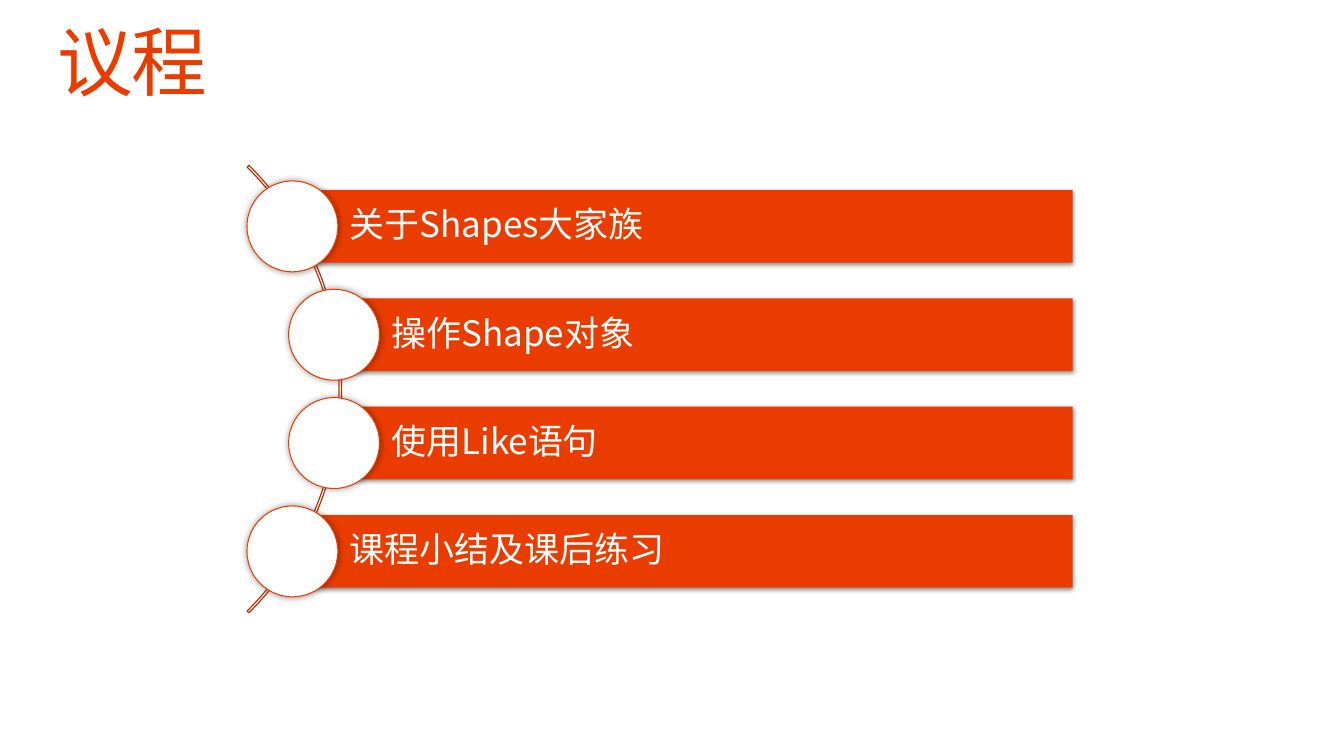
from lxml.etree import SubElement
from pptx import Presentation
from pptx.dml.color import RGBColor
from pptx.enum.shapes import MSO_SHAPE
from pptx.enum.text import MSO_ANCHOR, PP_ALIGN
from pptx.oxml.ns import qn
from pptx.util import Cm, Pt

ORANGE = "EB3C00"
DARK_ORANGE = "BC3000"
WHITE = "FFFFFF"
CJK_FONT = "Noto Sans CJK SC"
BAR_RIGHT = 27.03
BAR_HEIGHT = 1.83
FIRST_TOP = 4.79
ROW_PITCH = 2.73
CIRCLE_SIZE = 2.29
AGENDA = [
    ("关于Shapes大家族", 7.37),
    ("操作Shape对象", 8.42),
    ("使用Like语句", 8.42),
    ("课程小结及课后练习", 7.37),
]


def colour(value):
    return RGBColor.from_string(value)


def add_preset(page, preset, left, top, width, height, fill=None, line=None, weight=0.75):
    shape = page.shapes.add_shape(preset, Cm(left), Cm(top), Cm(width), Cm(height))
    shape.shadow.inherit = False
    if fill:
        shape.fill.solid()
        shape.fill.fore_color.rgb = colour(fill)
    else:
        shape.fill.background()
    if line:
        shape.line.color.rgb = colour(line)
        shape.line.width = Pt(weight)
    else:
        shape.line.fill.background()
    return shape


def add_shadow(shape, opacity, blur, distance, angle):
    effects = shape.element.spPr.find(qn("a:effectLst"))
    shadow = SubElement(
        effects, qn("a:outerShdw"), blurRad=str(Pt(blur)), dist=str(Pt(distance)),
        dir=str(angle * 60000), rotWithShape="0")
    black = SubElement(shadow, qn("a:srgbClr"), val="000000")
    SubElement(black, qn("a:alpha"), val=str(opacity * 1000))


def write(shape, text, size, font, text_colour, anchor, insets):
    frame = shape.text_frame
    frame.word_wrap = True
    frame.vertical_anchor = anchor
    frame.margin_left, frame.margin_top, frame.margin_right, frame.margin_bottom = map(Cm, insets)
    para = frame.paragraphs[0]
    para.alignment = PP_ALIGN.LEFT
    para.line_spacing = 0.9
    span = para.add_run()
    span.text = text
    span.font.size = Pt(size)
    span.font.name = font
    span.font.color.rgb = colour(text_colour)
    SubElement(span.font._element, qn("a:ea"), typeface=CJK_FONT)
    return para, span


def add_title(page, text):
    box = page.shapes.add_textbox(Cm(1.45), Cm(0.64), Cm(30.96), Cm(2.08))
    para, span = write(box, text, 54, "Roboto", ORANGE, MSO_ANCHOR.TOP, (0, 0, 0, 0))
    span.font._element.set("spc", "-100")


def add_arc(page):
    arc = add_preset(page, MSO_SHAPE.BLOCK_ARC, -7.34, 1.83, 15.95, 15.95,
                     line=DARK_ORANGE, weight=0.85)
    for index, value in enumerate((189, 27, 0.004)):
        arc.adjustments[index] = value


def add_agenda_row(page, text, left, top):
    bar = add_preset(page, MSO_SHAPE.RECTANGLE, left, top, BAR_RIGHT - left, BAR_HEIGHT, ORANGE)
    add_shadow(bar, 45, 3.5, 1.1, 90)
    para, span = write(bar, text, 25, CJK_FONT, WHITE, MSO_ANCHOR.MIDDLE, (1.45, 0.18, 0.18, 0.18))
    para.space_after = Pt(8.75)
    circle = add_preset(
        page, MSO_SHAPE.OVAL, left - CIRCLE_SIZE / 2, top + (BAR_HEIGHT - CIRCLE_SIZE) / 2,
        CIRCLE_SIZE, CIRCLE_SIZE, WHITE, ORANGE)
    add_shadow(circle, 40, 5, 0, 0)


def main():
    deck = Presentation()
    deck.slide_width = Cm(33.87)
    deck.slide_height = Cm(19.05)
    page = deck.slides.add_slide(deck.slide_layouts[6])
    add_title(page, "议程")
    add_arc(page)
    for row, (text, left) in enumerate(AGENDA):
        add_agenda_row(page, text, left, FIRST_TOP + row * ROW_PITCH)
    deck.save("out.pptx")


if __name__ == "__main__":
    main()
